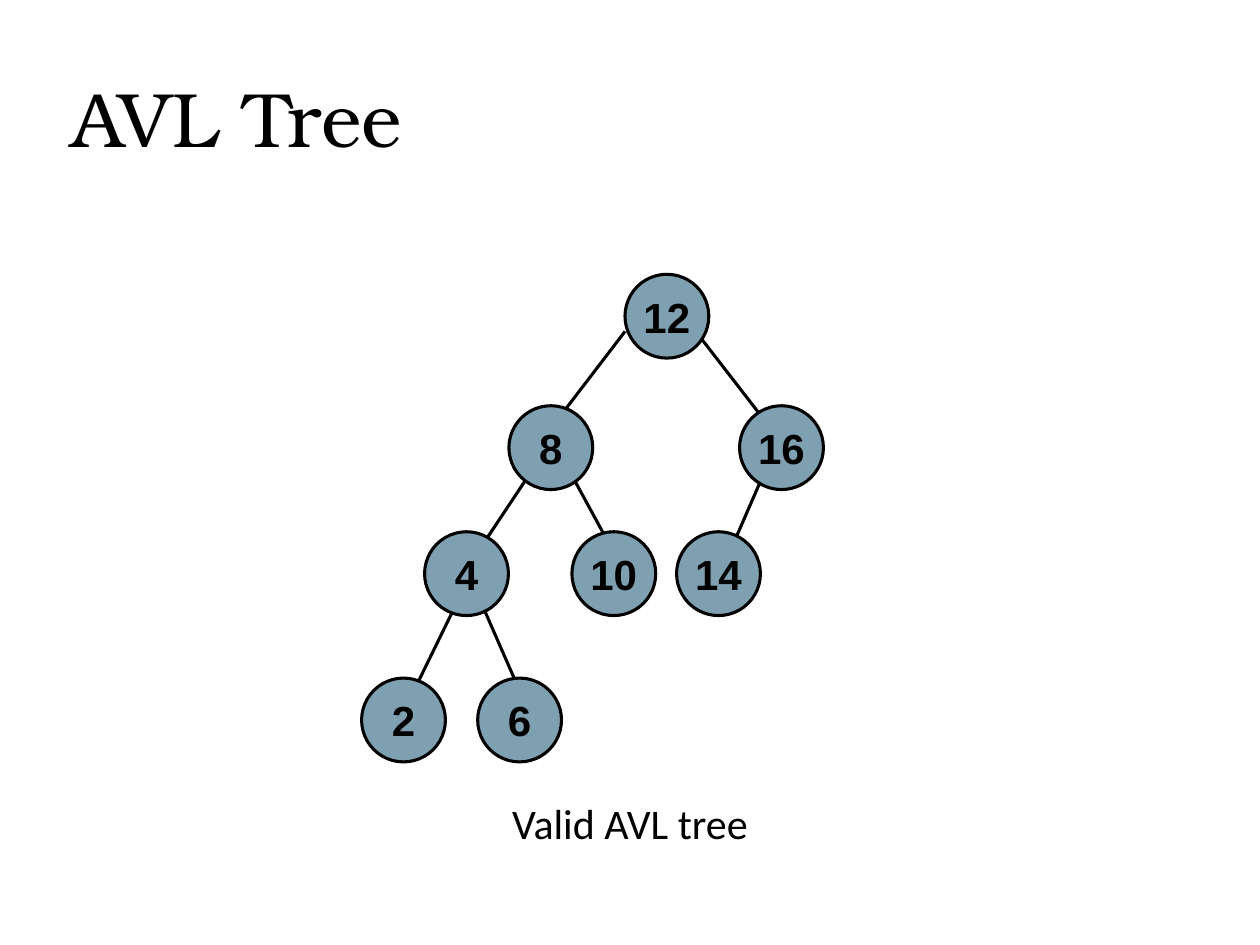
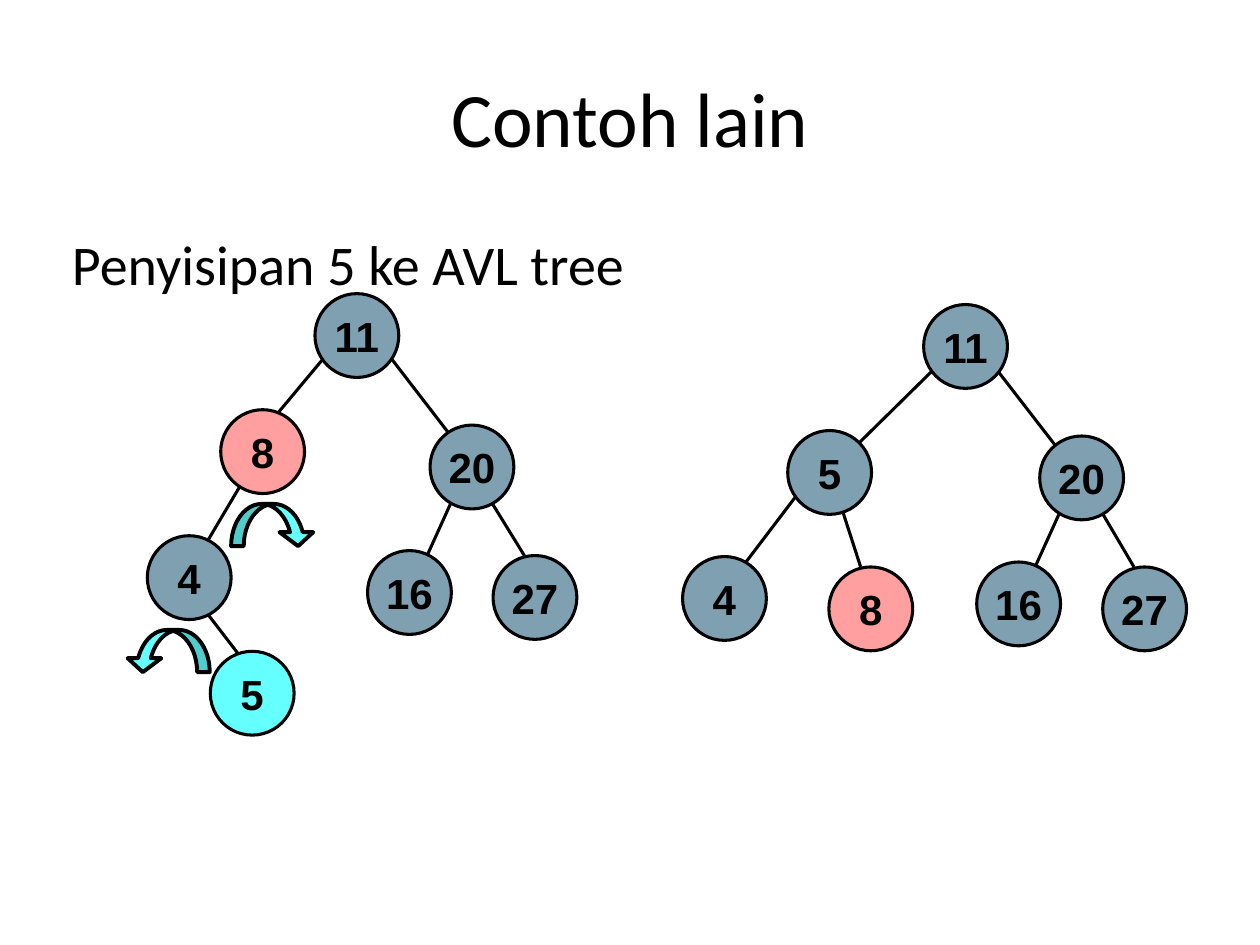
import pptx
import pptx.dml.color
import pptx.enum.shapes
import pptx.enum.text
import pptx.oxml
import pptx.util
import pptx.oxml.ns

Cm = pptx.util.Cm
Pt = pptx.util.Pt
Shapes = pptx.enum.shapes.MSO_SHAPE
Align = pptx.enum.text.PP_ALIGN
Anchor = pptx.enum.text.MSO_ANCHOR
qn = pptx.oxml.ns.qn

BLACK = "000000"
STEEL = "7FA0B1"
PINK = "FF9F9F"
CYAN = "66FFFF"
NODE_SIZE = 1.69
INSET = Cm(0.18)


def rgb(hex_color):
    return pptx.dml.color.RGBColor.from_string(hex_color)


def write(shape, text, size, font, align, anchor, bold=False):
    frame = shape.text_frame
    frame.auto_size = pptx.enum.text.MSO_AUTO_SIZE.NONE
    frame.vertical_anchor = anchor
    paragraph = frame.paragraphs[0]
    paragraph.alignment = align
    run = paragraph.add_run()
    run.text = text
    run.font.size = Pt(size)
    run.font.name = font
    run.font.bold = bold
    run.font.color.rgb = rgb(BLACK)
    return paragraph


presentation = pptx.Presentation()
presentation.slide_width = Cm(25.4)
presentation.slide_height = Cm(19.05)
valid_slide = presentation.slides.add_slide(presentation.slide_layouts[5])
insert_slide = presentation.slides.add_slide(presentation.slide_layouts[1])

titles = [
    (valid_slide, "AVL Tree", "TeX Gyre Bonum", Align.LEFT),
    (insert_slide, "Contoh lain", "Calibri", Align.CENTER),
]
for slide, text, font, align in titles:
    title = slide.shapes.title
    title.left, title.top, title.width, title.height = Cm(1.27), Cm(0.76), Cm(22.86), Cm(3.18)
    title.text_frame.margin_left = title.text_frame.margin_right = INSET
    write(title, text, 44, font, align, Anchor.MIDDLE)

body = insert_slide.placeholders[1]
body.left, body.top, body.width, body.height = Cm(1.27), Cm(4.45), Cm(22.86), Cm(12.57)
body.text_frame.margin_left = body.text_frame.margin_top = INSET
paragraph = write(body, "Penyisipan 5 ke AVL tree", 32, "Calibri", Align.LEFT, Anchor.TOP)
paragraph.space_before = Pt(8)
properties = paragraph._p.get_or_add_pPr()
properties.set("marL", "0")
properties.set("indent", "0")
properties.append(pptx.oxml.parse_xml(
    '<a:buNone xmlns:a="http://schemas.openxmlformats.org/drawingml/2006/main"/>'))

caption = valid_slide.shapes.add_textbox(Cm(1.27), Cm(15.39), Cm(22.86), Cm(2.39))
caption.text_frame.word_wrap = True
write(caption, "Valid AVL tree", 24, "Calibri", Align.CENTER, Anchor.MIDDLE)

valid_edges = [
    (15.54, 9.22, 14.71, 11.13), (9.63, 11.99, 10.46, 13.89),
    (11.33, 9.22, 12.37, 11.13), (9.19, 12.19, 8.36, 13.89),
    (10.9, 9.22, 9.63, 11.13), (13.87, 6.48, 15.34, 8.38),
    (12.6, 6.68, 11.3, 8.38),
]
valid_nodes = [
    ("12", 12.6, 5.53, STEEL), ("8", 10.26, 8.18, STEEL),
    ("16", 14.91, 8.18, STEEL), ("4", 8.56, 10.72, STEEL),
    ("10", 11.53, 10.72, STEEL), ("14", 13.64, 10.72, STEEL),
    ("2", 7.29, 13.67, STEEL), ("6", 9.63, 13.67, STEEL),
]
before_edges = [
    (3.61, 11.63, 5.08, 13.54), (9.32, 9.63, 8.46, 11.53),
    (4.88, 9.73, 4.01, 11.2), (7.62, 6.88, 9.09, 8.79),
    (6.55, 7.19, 5.49, 8.46), (9.93, 10.16, 10.57, 11.2),
]
before_nodes = [
    ("5", 4.24, 13.13, CYAN), ("11", 6.35, 5.92, STEEL),
    ("20", 8.67, 8.57, STEEL), ("4", 2.97, 10.8, STEEL),
    ("16", 7.41, 11.1, STEEL), ("27", 9.94, 11.2, STEEL),
    ("8", 4.45, 8.26, PINK),
]
after_edges = [
    (16.94, 10.16, 17.35, 11.43), (21.59, 9.83, 20.73, 11.73),
    (16.08, 9.96, 14.81, 11.63), (19.89, 7.19, 21.36, 9.09),
    (18.85, 7.42, 16.92, 9.32), (22.23, 10.36, 22.86, 11.43),
]
after_nodes = [
    ("8", 16.71, 11.43, PINK), ("11", 18.62, 6.14, STEEL),
    ("5", 15.88, 8.68, STEEL), ("20", 20.96, 8.79, STEEL),
    ("4", 13.76, 11.22, STEEL), ("16", 19.69, 11.33, STEEL),
    ("27", 22.23, 11.43, STEEL),
]
trees = [
    (valid_slide, valid_edges, valid_nodes),
    (insert_slide, before_edges, before_nodes),
    (insert_slide, after_edges, after_nodes),
]
for slide, edges, nodes in trees:
    for edge in edges:
        connector = slide.shapes.add_connector(
            pptx.enum.shapes.MSO_CONNECTOR.STRAIGHT, *[Cm(value) for value in edge])
        connector.line.color.rgb = rgb(BLACK)
        connector.line.width = Pt(1.75)
        connector._element.spPr.append(pptx.oxml.parse_xml(
            '<a:effectLst xmlns:a="http://schemas.openxmlformats.org/drawingml/2006/main"/>'))
    for label, left, top, color in nodes:
        node = slide.shapes.add_shape(
            Shapes.OVAL, Cm(left), Cm(top), Cm(NODE_SIZE), Cm(NODE_SIZE))
        node.shadow.inherit = False
        node.fill.solid()
        node.fill.fore_color.rgb = rgb(color)
        node.line.color.rgb = rgb(BLACK)
        node.line.width = Pt(1.75)
        node.text_frame.word_wrap = False
        write(node, label, 24, "Arial", Align.CENTER, Anchor.MIDDLE, bold=True)

for left, top, flipped in [(2.54, 12.7, True), (4.66, 10.16, False)]:
    rotation = insert_slide.shapes.add_shape(
        Shapes.CURVED_DOWN_ARROW, Cm(left), Cm(top), Cm(1.69), Cm(0.85))
    rotation.shadow.inherit = False
    for index, adjustment in enumerate([0.3, 0.8, 0.33]):
        rotation.adjustments[index] = adjustment
    rotation.fill.solid()
    rotation.fill.fore_color.rgb = rgb(CYAN)
    rotation.line.color.rgb = rgb(BLACK)
    rotation.line.width = Pt(2.25)
    if flipped:
        rotation._element.spPr.find(qn("a:xfrm")).set("flipH", "1")

presentation.save("out.pptx")
